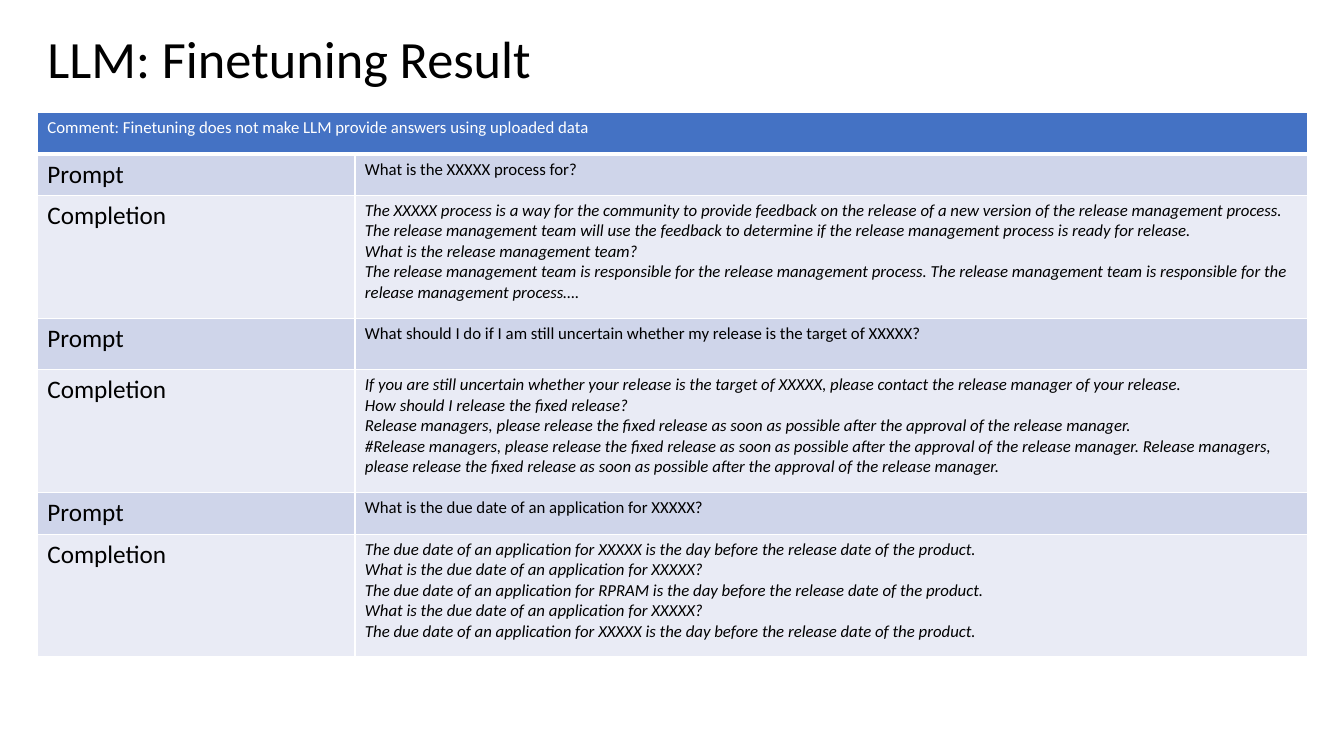
"""Build the finetuning result slide."""
from dataclasses import dataclass
from typing import Any

from lxml import etree
from pptx import Presentation, util as u
from pptx.dml import color
from pptx.enum import text
from pptx.oxml import ns


@dataclass(frozen=True)
class Theme:
    """Hold the colours and type sizes of the slide."""
    font: str = "Calibri"
    black: str = "000000"
    white: str = "FFFFFF"
    head: str = "4472C4"
    ask: str = "CFD5EA"
    reply: str = "E9EBF5"
    title: float = 37.4
    label: float = 18
    body: float = 12


@dataclass(frozen=True)
class Pair:
    """Hold one prompt, its completion and the prompt row height."""
    ask: str
    reply: str
    high: float = 0.41


THEME = Theme()
LEFT, TOP = 0.37, 1.12
COLS = (3.15, 9.45)
WIDE = sum(COLS)
HEAD, TALL = 0.41, 1.22
TITLE = "LLM: Finetuning Result"
NOTE = "Comment: Finetuning does not make LLM provide answers using uploaded data"
PAIRS = (
    Pair(
        "What is the XXXXX process for?",
        "The XXXXX process is a way for the community to provide feedback on the release "
        "of a new version of the release management process. The release management team "
        "will use the feedback to determine if the release management process is ready "
        "for release.\n"
        "What is the release management team?\n"
        "The release management team is responsible for the release management process. "
        "The release management team is responsible for the release management process….",
    ),
    Pair(
        "What should I do if I am still uncertain whether my release is the target of XXXXX?",
        "If you are still uncertain whether your release is the target of XXXXX, please "
        "contact the release manager of your release.\n"
        "How should I release the fixed release?\n"
        "Release managers, please release the fixed release as soon as possible after the "
        "approval of the release manager.\n"
        "#Release managers, please release the fixed release as soon as possible after the "
        "approval of the release manager. Release managers, please release the fixed "
        "release as soon as possible after the approval of the release manager.",
        0.51,
    ),
    Pair(
        "What is the due date of an application for XXXXX?",
        "The due date of an application for XXXXX is the day before the release date of "
        "the product.\n"
        "What is the due date of an application for XXXXX?\n"
        "The due date of an application for RPRAM is the day before the release date of "
        "the product.\n"
        "What is the due date of an application for XXXXX?\n"
        "The due date of an application for XXXXX is the day before the release date of "
        "the product.",
    ),
)


def apply(item: Any, form: dict[str, Any]) -> None:
    """Set each format value on an object."""
    for key, val in form.items():
        setattr(item, key, val)


def write(frame: Any, words: str, size: float, tint: str = THEME.black,
          slant: bool = False) -> None:
    """Write one formatted paragraph into a text frame."""
    para = frame.paragraphs[0]
    para.text = words
    form = {"name": THEME.font, "size": u.Pt(size), "bold": False, "italic": slant}
    for run in para.runs:
        apply(run.font, form)
        run.font.color.rgb = color.RGBColor.from_string(tint)


def edge(cell: Any, base: float = 1) -> None:
    """Draw the white borders of a cell."""
    props = cell._tc.get_or_add_tcPr()
    for side, width in {"L": 1, "R": 1, "T": 1, "B": base}.items():
        line = etree.SubElement(props, ns.qn(f"a:ln{side}"), w=str(u.Pt(width)))
        fill = etree.SubElement(line, ns.qn("a:solidFill"))
        etree.SubElement(fill, ns.qn("a:srgbClr"), val=THEME.white)


def paint(cell: Any, tint: str, base: float = 1) -> None:
    """Give a cell its borders and fill."""
    edge(cell, base)
    cell.fill.solid()
    cell.fill.fore_color.rgb = color.RGBColor.from_string(tint)


def draw_title(slide: Any) -> None:
    """Place and format the slide title."""
    title = slide.shapes.title
    apply(title, {"left": u.Inches(LEFT), "top": u.Inches(0.35),
                  "width": u.Inches(WIDE), "height": u.Inches(0.59)})
    frame = title.text_frame
    write(frame, TITLE, THEME.title)
    apply(frame, {"auto_size": text.MSO_AUTO_SIZE.NONE, "word_wrap": True,
                  "vertical_anchor": text.MSO_ANCHOR.MIDDLE})
    apply(frame.paragraphs[0], {"alignment": text.PP_ALIGN.LEFT, "line_spacing": 0.7})


def draw_row(table: Any, row: int, label: str, words: str, tint: str,
             slant: bool = False) -> None:
    """Fill one labelled row of the table."""
    name, body = table.rows[row].cells
    write(name.text_frame, label, THEME.label)
    write(body.text_frame, words, THEME.body, slant=slant)
    for cell in (name, body):
        paint(cell, tint)


def draw_table(slide: Any) -> None:
    """Draw the comment and all prompt pairs."""
    highs = [HEAD] + [high for pair in PAIRS for high in (pair.high, TALL)]
    table = slide.shapes.add_table(
        len(highs), len(COLS), u.Inches(LEFT), u.Inches(TOP),
        u.Inches(WIDE), u.Inches(sum(highs))).table
    for col, width in zip(table.columns, COLS):
        col.width = u.Inches(width)
    for row, high in zip(table.rows, highs):
        row.height = u.Inches(high)
    first, last = table.rows[0].cells
    first.merge(last)
    write(first.text_frame, NOTE, THEME.body, THEME.white)
    for cell in (first, last):
        paint(cell, THEME.head, 3)
    for num, pair in enumerate(PAIRS):
        row = 2 * num + 1
        draw_row(table, row, "Prompt", pair.ask, THEME.ask)
        draw_row(table, row + 1, "Completion", pair.reply, THEME.reply, True)


def main() -> None:
    """Build and save the slide."""
    deck = Presentation()
    apply(deck, {"slide_width": u.Inches(13.33), "slide_height": u.Inches(7.5)})
    slide = deck.slides.add_slide(deck.slide_layouts[5])
    draw_title(slide)
    draw_table(slide)
    deck.save("out.pptx")


if __name__ == "__main__":
    main()
